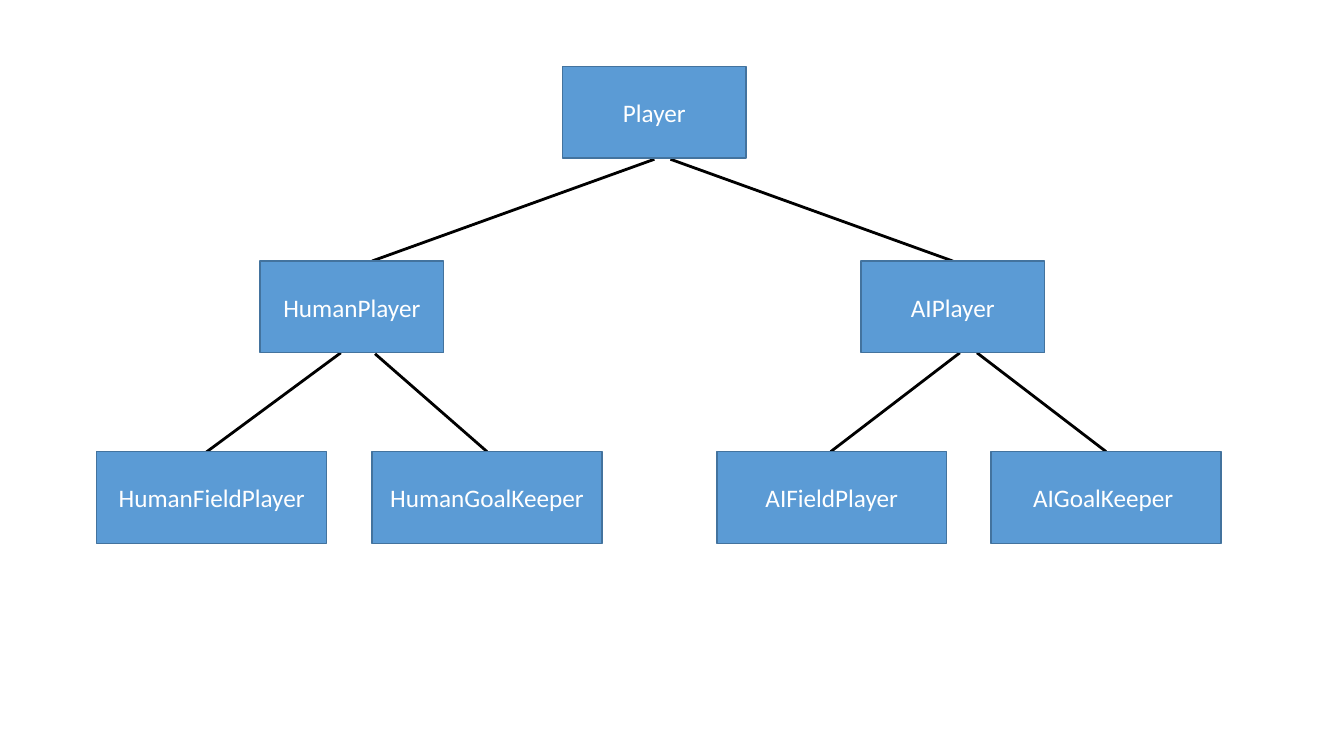
from dataclasses import dataclass

from lxml.etree import SubElement
from pptx import Presentation
from pptx.dml.color import RGBColor
from pptx.enum.shapes import MSO_CONNECTOR, MSO_SHAPE
from pptx.enum.text import MSO_ANCHOR, PP_ALIGN
from pptx.oxml.ns import qn
from pptx.util import Inches, Pt


@dataclass(frozen=True)
class Theme:
    fill: str = "5B9BD5"
    edge: str = "43739E"
    link: str = "000000"
    ink: str = "FFFFFF"
    font: str = "Calibri"
    size: int = 18
    thin: int = 1
    thick: int = 2


def write(frame, text, *, font, size, color, align=PP_ALIGN.CENTER):
    frame.word_wrap = True
    frame.vertical_anchor = MSO_ANCHOR.MIDDLE
    para = frame.paragraphs[0]
    para.alignment = align
    run = para.add_run()
    run.text = text
    run.font.name = font
    run.font.size = Pt(size)
    run.font.color.rgb = RGBColor.from_string(color)


class Chart:
    def __init__(self, slide, theme):
        self.slide = slide
        self.theme = theme

    def stroke(self, line, color, width):
        line.color.rgb = RGBColor.from_string(color)
        line.width = Pt(width)

    def box(self, text, left, top, width, height):
        look = self.theme
        shape = self.slide.shapes.add_shape(
            MSO_SHAPE.RECTANGLE, *map(Inches, (left, top, width, height)))
        shape.shadow.inherit = False
        shape.fill.solid()
        shape.fill.fore_color.rgb = RGBColor.from_string(look.fill)
        self.stroke(shape.line, look.edge, look.thin)
        write(shape.text_frame, text,
              font=look.font, size=look.size, color=look.ink)

    def link(self, start, end):
        line = self.slide.shapes.add_connector(
            MSO_CONNECTOR.STRAIGHT, *map(Inches, (*start, *end)))
        self.stroke(line.line, self.theme.link, self.theme.thick)
        SubElement(line._element.spPr, qn("a:effectLst"))


HEIGHT = 0.91
LEVELS = [
    (0.66, 1.82, [("Player", 5.58)]),
    (2.59, 1.82, [("HumanPlayer", 2.58), ("AIPlayer", 8.54)]),
    (4.48, 2.28, [("HumanFieldPlayer", 0.96), ("HumanGoalKeeper", 3.69),
                  ("AIFieldPlayer", 7.11), ("AIGoalKeeper ", 9.83)]),
]
LINKS = [
    ((6.49, 1.58), (3.69, 2.59)),
    ((6.65, 1.58), (9.45, 2.59)),
    ((3.38, 3.5), (1.85, 4.63)),
    ((3.72, 3.51), (4.83, 4.48)),
    ((9.52, 3.5), (8.24, 4.48)),
    ((9.69, 3.5), (10.97, 4.48)),
]

deck = Presentation()
deck.slide_width = Inches(13.33)
deck.slide_height = Inches(7.5)
chart = Chart(deck.slides.add_slide(deck.slide_layouts[6]), Theme())

for start, end in LINKS:
    chart.link(start, end)
for top, width, nodes in LEVELS:
    for text, left in nodes:
        chart.box(text, left, top, width, HEIGHT)

deck.save("out.pptx")
